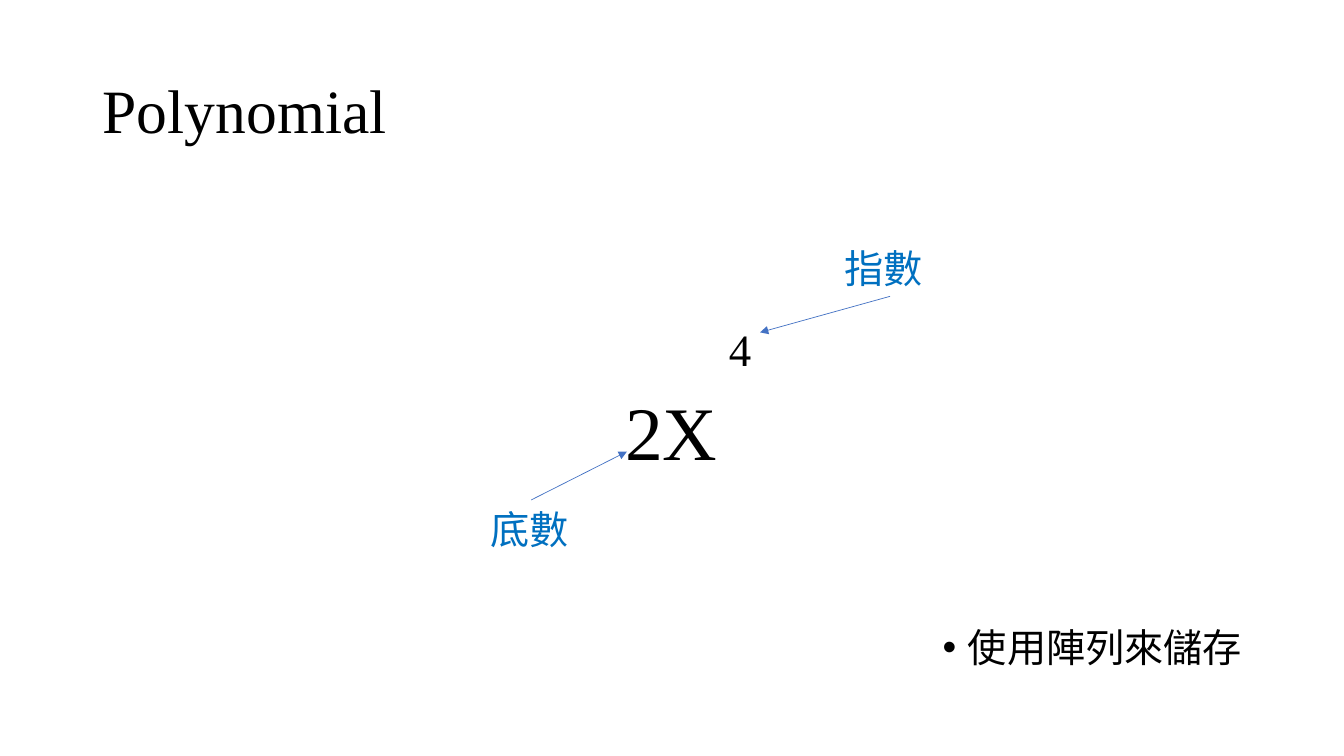
import pptx
import pptx.util
import pptx.dml.color
import pptx.enum.shapes
import pptx.enum.text
import pptx.oxml
import pptx.oxml.ns

Pt = pptx.util.Pt
RGB = pptx.dml.color.RGBColor.from_string
ALIGN = pptx.enum.text.PP_ALIGN
ANCHOR = pptx.enum.text.MSO_ANCHOR
FIT = pptx.enum.text.MSO_AUTO_SIZE

# Theme
THEME = {
    "latin": "Times New Roman", "cjk": "Noto Sans CJK SC",
    "ink": "000000", "label": "0070C0", "arrow": "4472C4",
    "title": 44, "base": 54, "exponent": 32, "body": 28, "arrow_width": 0.5,
}

# Content: text, (left, top, width, height), font, colour, size, options
TEXTS = [
    ("Polynomial", (66.24, 28.8, 828, 104.4), "latin", "ink", "title",
     {"anchor": ANCHOR.MIDDLE, "spacing": 0.9}),
    ("4", (508.6, 226.4, 40, 44), "latin", "ink", "exponent", {"align": ALIGN.CENTER}),
    ("2X", (429.5, 271.2, 100, 69.2), "latin", "ink", "base", {"align": ALIGN.CENTER}),
    ("使用陣列來儲存", (594.24, 441.4, 300, 48), "latin", "ink", "body",
     {"align": ALIGN.RIGHT, "bullet": "•"}),
    ("指數", (596.16, 170.64, 79.2, 41), "cjk", "label", "body", {"fit": True}),
    ("底數", (343.44, 357.12, 71.28, 41), "cjk", "label", "body",
     {"fit": True, "wrap": False}),
]
ARROWS = [  # from, to
    ((635.76, 211.68), (542.88, 237.44)),
    ((379.44, 357.12), (447.84, 322.56)),
]


def add_xml(parent, tag, **attributes):
    child = pptx.oxml.parse_xml(f"<{tag} {pptx.oxml.ns.nsdecls('a')}/>")
    for name, value in attributes.items():
        child.set(name, value)
    parent.append(child)


def add_text(s, text, box, font, color, size, options):
    tf = s.shapes.add_textbox(*map(Pt, box)).text_frame
    frame = {
        "word_wrap": options.get("wrap", True),
        "vertical_anchor": options.get("anchor", ANCHOR.TOP),
        "auto_size": FIT.SHAPE_TO_FIT_TEXT if options.get("fit") else FIT.NONE,
    }
    for name, value in frame.items():
        setattr(tf, name, value)
    p = tf.paragraphs[0]
    p.alignment = options.get("align", ALIGN.LEFT)
    p.line_spacing = options.get("spacing", 1.0)
    if "bullet" in options:
        pPr = p._p.get_or_add_pPr()
        pPr.set("marL", str(Pt(18)))
        pPr.set("indent", str(-Pt(18)))
        add_xml(pPr, "a:buFont", typeface="Arial")
        add_xml(pPr, "a:buChar", char=options["bullet"])
    r = p.add_run()
    r.text = text
    for name, value in {"name": THEME[font], "size": Pt(THEME[size])}.items():
        setattr(r.font, name, value)
    r.font.color.rgb = RGB(THEME[color])
    add_xml(r._r.get_or_add_rPr(), "a:ea", typeface=THEME["cjk"])


def add_arrow(s, start, end):
    line = s.shapes.add_connector(
        pptx.enum.shapes.MSO_CONNECTOR.STRAIGHT, *map(Pt, start + end))
    line.line.color.rgb = RGB(THEME["arrow"])
    line.line.width = Pt(THEME["arrow_width"])
    add_xml(line.line._get_or_add_ln(), "a:tailEnd", type="triangle")
    add_xml(line._element.spPr, "a:effectLst")


def main():
    prs = pptx.Presentation()
    prs.slide_width, prs.slide_height = Pt(960), Pt(540)
    s = prs.slides.add_slide(prs.slide_layouts[6])

    # Title, term, labels and note
    for item in TEXTS:
        add_text(s, *item)

    # Arrows from the labels to the term
    for start, end in ARROWS:
        add_arrow(s, start, end)

    prs.save("out.pptx")


if __name__ == "__main__":
    main()
